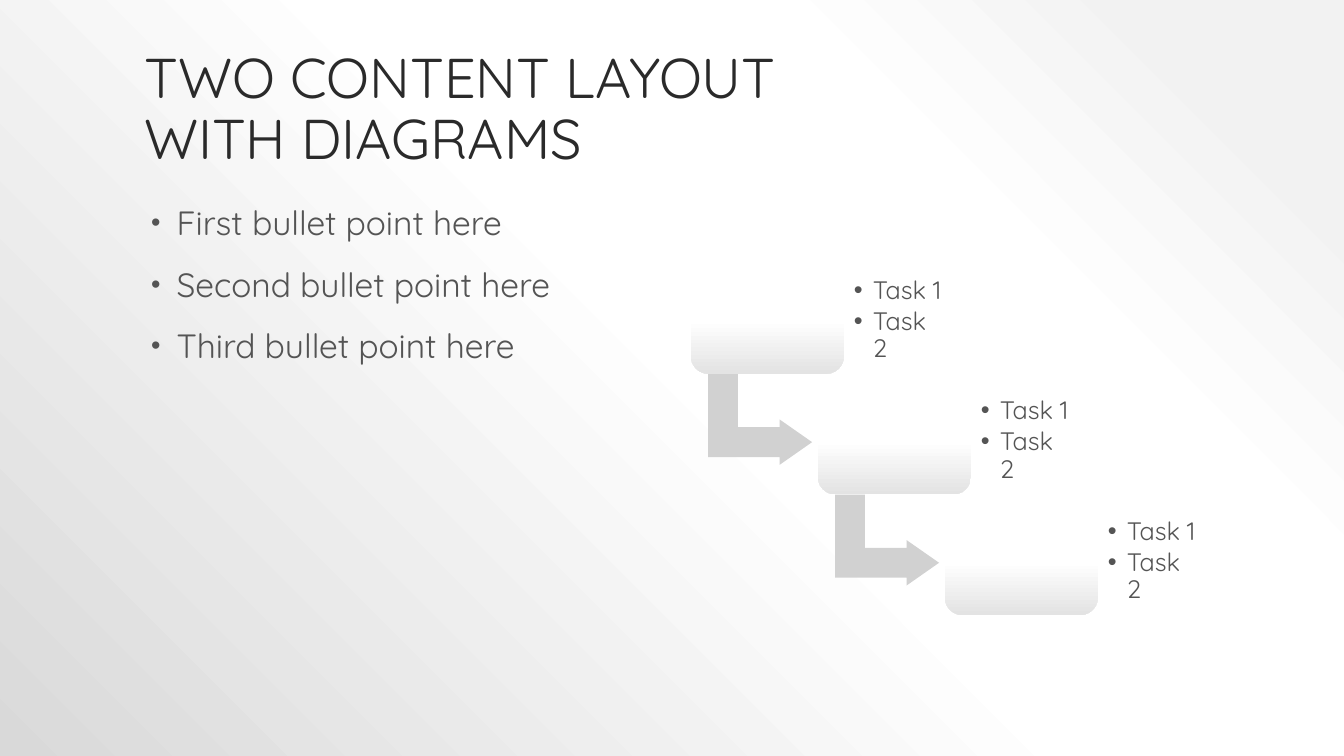
from lxml.etree import SubElement
from pptx import Presentation
from pptx.dml.color import RGBColor
from pptx.enum.shapes import MSO_SHAPE as Preset
from pptx.enum.text import MSO_ANCHOR as Anchor, PP_ALIGN as Align
from pptx.oxml import parse_xml
from pptx.oxml.ns import nsdecls, qn
from pptx.util import Cm, Pt

INK = RGBColor(0x2A, 0x2A, 0x2A)
GREY = RGBColor(0x54, 0x54, 0x54)
ARROW = RGBColor(0xD1, 0xD1, 0xD1)
WHITE = RGBColor(0xFF, 0xFF, 0xFF)
SILVER = RGBColor(0xE3, 0xE3, 0xE3)
MIST = RGBColor(0xF2, 0xF2, 0xF2)
SHADE = RGBColor(0xD9, 0xD9, 0xD9)

DOWNWARD = '<a:lin ang="5400000" scaled="0"/>'
FROM_TOP_RIGHT = '<a:path path="circle"><a:fillToRect l="100000" b="100000"/></a:path>'
STEPS = 3


def gradient(stops, direction):
    """Return a gradFill element for (percent, colour) stops."""
    marks = "".join(
        f'<a:gs pos="{percent * 1000}"><a:srgbClr val="{colour}"/></a:gs>'
        for percent, colour in stops
    )
    return parse_xml(
        f'<a:gradFill rotWithShape="1" {nsdecls("a")}>'
        f"<a:gsLst>{marks}</a:gsLst>{direction}</a:gradFill>"
    )


class SlideBuilder:
    """Holds the text style and the current slide."""

    def __init__(self, page, font="Quicksand"):
        self.page = page
        self.font = font

    def style(self, para, size, colour):
        para.font.name = self.font
        para.font.size = Pt(size)
        para.font.color.rgb = colour
        para.line_spacing = 0.9

    def background(self, stops):
        self.page.background.fill.solid()
        properties = self.page.element.cSld.bg.bgPr
        properties.replace(properties[0], gradient(stops, FROM_TOP_RIGHT))

    def title(self, text, left, top, width, height):
        title = self.page.shapes.title
        title.left, title.top = Cm(left), Cm(top)
        title.width, title.height = Cm(width), Cm(height)
        title.text_frame.text = text
        title.text_frame.vertical_anchor = Anchor.BOTTOM
        para = title.text_frame.paragraphs[0]
        para.alignment = Align.LEFT
        self.style(para, 40, INK)

    def shape(self, preset, left, top, width, height, adjustments, colour):
        shape = self.page.shapes.add_shape(
            preset, Cm(left), Cm(top), Cm(width), Cm(height))
        shape.shadow.inherit = False
        shape.line.fill.background()
        shape.fill.solid()
        shape.fill.fore_color.rgb = colour
        for index, value in enumerate(adjustments):
            shape.adjustments[index] = value
        return shape

    def arrow(self, left, top):
        arrow = self.shape(Preset.BENT_UP_ARROW, left, top, 2.29, 2.62,
                           (0.328, 0.25, 0.358), ARROW)
        arrow.rotation = 90

    def card(self, left, top, width, height):
        card = self.shape(Preset.ROUNDED_RECTANGLE, left, top, width, height,
                          (0.167,), SILVER)
        properties = card.element.spPr
        stops = ((0, WHITE), (50, WHITE), (100, SILVER))
        properties.replace(properties.find(qn("a:solidFill")), gradient(stops, DOWNWARD))

    def bullets(self, items, left, top, width, height, size, indent, hanging,
                before=0, after=0, bullet_percent=100):
        box = self.page.shapes.add_textbox(Cm(left), Cm(top), Cm(width), Cm(height))
        frame = box.text_frame
        frame.word_wrap = True
        for index, item in enumerate(items):
            para = frame.paragraphs[0] if index == 0 else frame.add_paragraph()
            para.text = item
            self.style(para, size, GREY)
            para.space_before, para.space_after = Pt(before), Pt(after)
            properties = para._p.get_or_add_pPr()
            properties.set("marL", str(Cm(indent)))
            properties.set("indent", str(-Cm(hanging)))
            SubElement(properties, qn("a:buSzPct"), val=str(bullet_percent * 1000))
            SubElement(properties, qn("a:buFont"), typeface="Arial")
            SubElement(properties, qn("a:buChar"), char="•")
            properties.append(properties.find(qn("a:defRPr")))
        return frame

    def step(self, left, top, has_arrow):
        """Add one stair of the diagram: arrow, card and tasks."""
        width, height = 3.86, 2.69
        if has_arrow:
            self.arrow(left + 0.6, top + 2.53)
        self.card(left, top, width, height)
        tasks = self.bullets(("Task 1", "Task 2"), left + width, top + 0.25, 2.82, 2.18,
                             size=18, indent=0.48, hanging=0.48, after=2.7)
        tasks.vertical_anchor = Anchor.MIDDLE


def main():
    deck = Presentation()
    deck.slide_width, deck.slide_height = Cm(33.87), Cm(19.05)
    builder = SlideBuilder(deck.slides.add_slide(deck.slide_layouts[5]))
    builder.background(((10, MIST), (28, WHITE), (48, WHITE), (100, SHADE)))
    builder.title("TWO CONTENT LAYOUT \vWITH DIAGRAMS", 3.38, 0.76, 27.1, 3.68)

    for index in range(STEPS):
        builder.step(17.41 + 3.2 * index, 6.73 + 3.04 * index,
                     has_arrow=index < STEPS - 1)

    points = [f"{order} bullet point here" for order in ("First", "Second", "Third")]
    builder.bullets(points, 3.44, 5.08, 13.08, 12.07, size=24,
                    indent=0.76, hanging=0.64, before=18, bullet_percent=80)
    deck.save("out.pptx")


if __name__ == "__main__":
    main()
